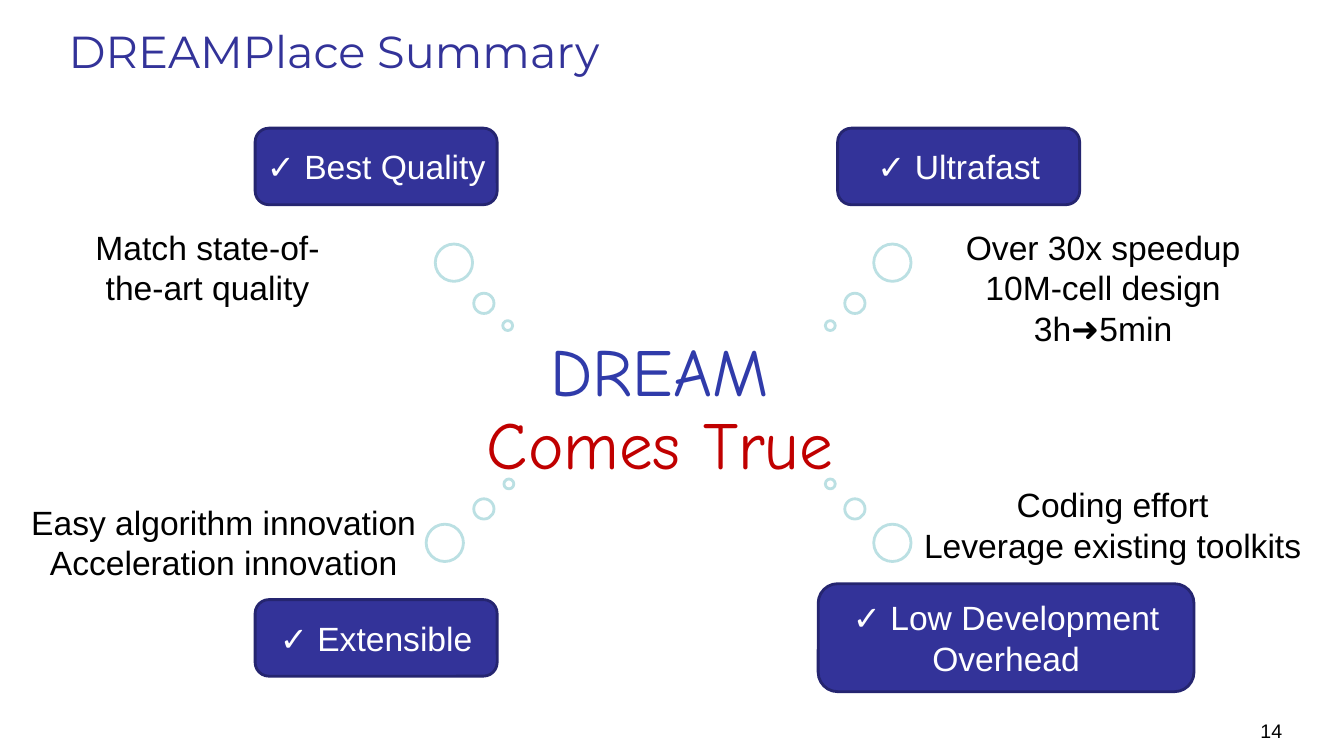
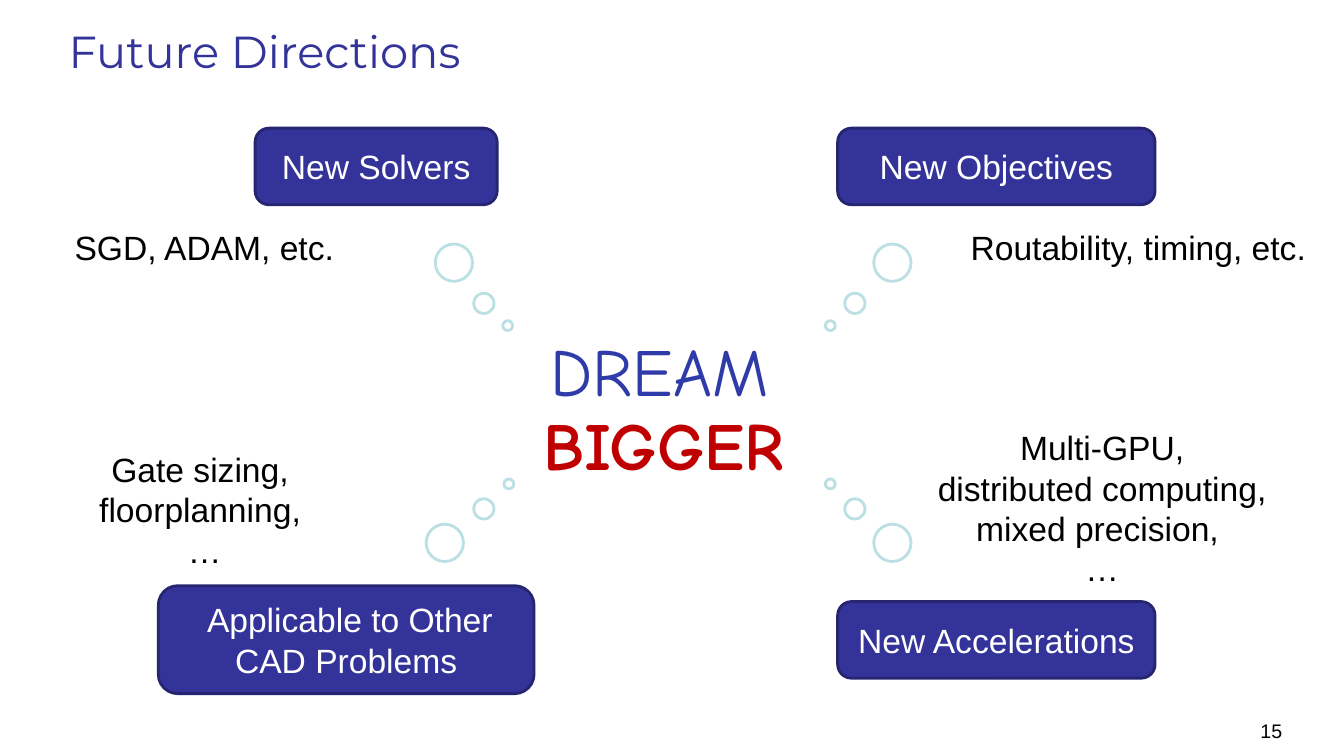
import pptx
import pptx.dml.color
import pptx.enum.shapes
import pptx.enum.text
import pptx.util

Cm = pptx.util.Cm
ALIGN = pptx.enum.text.PP_ALIGN
ANCHOR = pptx.enum.text.MSO_ANCHOR
SHAPE = pptx.enum.shapes.MSO_SHAPE

COLORS = {
    "indigo": "333399",
    "indigo_edge": "252570",
    "bubble_edge": "BBE0E3",
    "dream": "303BAA",
    "red": "C00000",
    "black": "000000",
    "white": "FFFFFF",
}
BODY_FONT = "Arial"
TITLE_FONT = "Montserrat"
COMIC_FONT = "Comic Neue"

INSET = 0.13
CORNER = 0.18
BADGE_HEIGHT = 1.93
TALL_BADGE = (9.47, 2.72)
LINE_HEIGHT = 1.02
NOTE_PADDING = 0.27
UPPER_NOTE_TOP = 5.59

# Each trail runs from its large outer bubble to its small inner one.
BUBBLE_DIAMETERS = (0.94, 0.51, 0.25)
UPPER_TOPS = (6.15, 7.39, 8.08)
LOWER_TOPS = (13.21, 12.57, 12.07)
RIGHT_LEFTS = (22.02, 21.29, 20.8)
BUBBLE_TRAILS = (
    ((10.97, 11.94, 12.67), UPPER_TOPS),
    (RIGHT_LEFTS, UPPER_TOPS),
    (RIGHT_LEFTS, LOWER_TOPS),
    ((10.74, 11.94, 12.7), LOWER_TOPS),
)

SLIDES = (
    {
        "title": "DREAMPlace Summary",
        "number": "14",
        "badges": (
            ("✓ Best Quality", 6.43, 3.23, 6.1, BADGE_HEIGHT),
            ("✓ Ultrafast", 21.11, 3.23, 6.1, BADGE_HEIGHT),
            ("✓ Low Development Overhead", 20.62, 14.71, *TALL_BADGE),
            ("✓ Extensible", 6.43, 15.11, 6.1, BADGE_HEIGHT),
        ),
        "notes": (
            ("Over 30x speedup\n10M-cell design\n3h➜5min", 24.08, UPPER_NOTE_TOP, 7.44, {}),
            ("Easy algorithm innovation\nAcceleration innovation", 0.53, 12.52, 10.21, {}),
            ("Match state-of-the-art quality", 1.75, UPPER_NOTE_TOP, 6.96, {"wrap": True}),
            ("Coding effort\nLeverage existing toolkits", 23.11, 12.07, 9.86, {}),
        ),
        "slogan": ("Comes True", 12.14, 10.01, 9.6, False),
    },
    {
        "title": "Future Directions",
        "number": "15",
        "badges": (
            ("New Solvers", 6.43, 3.23, 6.1, BADGE_HEIGHT),
            ("New Objectives", 21.11, 3.23, 8, BADGE_HEIGHT),
            (" Applicable to Other CAD Problems", 3.99, 14.76, *TALL_BADGE),
            ("New Accelerations", 21.11, 15.16, 8, BADGE_HEIGHT),
        ),
        "notes": (
            ("Routability, timing, etc.", 24.33, UPPER_NOTE_TOP, 8.74, {"align": ALIGN.LEFT}),
            ("Gate sizing, \nfloorplanning, \n…", 2.34, 11.18, 5.64, {}),
            ("SGD, ADAM, etc.", 1.75, UPPER_NOTE_TOP, 6.83, {"align": ALIGN.LEFT}),
            ("Multi-GPU,\ndistributed computing,\nmixed precision, \n…", 23.37, 10.64, 8.81, {}),
        ),
        "slogan": ("BIGGER", 13.56, 10.03, 6.73, True),
    },
)


def rgb(name):
    return pptx.dml.color.RGBColor.from_string(COLORS[name])


def write_text(shape, text, *, size=24, font=BODY_FONT, color="black", bold=False,
               align=ALIGN.CENTER, anchor=ANCHOR.TOP, wrap=True, grow=False):
    """Fill a shape with text, one paragraph for each line."""
    frame = shape.text_frame
    frame.word_wrap = wrap
    frame.vertical_anchor = anchor
    frame.margin_left = frame.margin_right = Cm(INSET)
    frame.margin_top = frame.margin_bottom = Cm(INSET)
    if grow:
        frame.auto_size = pptx.enum.text.MSO_AUTO_SIZE.SHAPE_TO_FIT_TEXT
    frame.text = text
    for paragraph in frame.paragraphs:
        paragraph.alignment = align
        paragraph.font.size = pptx.util.Pt(size)
        paragraph.font.name = font
        paragraph.font.bold = bold
        paragraph.font.color.rgb = rgb(color)


def add_text_box(slide, text, left, top, width, height, **text_format):
    box = slide.shapes.add_textbox(Cm(left), Cm(top), Cm(width), Cm(height))
    write_text(box, text, **text_format)


def add_outlined_shape(slide, kind, left, top, width, height, fill, edge):
    shape = slide.shapes.add_shape(kind, Cm(left), Cm(top), Cm(width), Cm(height))
    shape.shadow.inherit = False
    shape.fill.solid()
    shape.fill.fore_color.rgb = rgb(fill)
    shape.line.color.rgb = rgb(edge)
    shape.line.width = pptx.util.Pt(2)
    return shape


def add_title_and_number(slide, title, number):
    add_text_box(slide, title, 1.6, 0.28, 30.63, 1.98, size=32, font=TITLE_FONT,
                 color="indigo", align=ALIGN.LEFT, anchor=ANCHOR.MIDDLE)
    add_text_box(slide, number, 31.62, 17.98, 0.84, 0.86, size=14, wrap=False, grow=True)


def add_badge(slide, text, left, top, width, height):
    badge = add_outlined_shape(slide, SHAPE.ROUNDED_RECTANGLE, left, top, width, height,
                               "indigo", "indigo_edge")
    badge.adjustments[0] = CORNER
    write_text(badge, text, color="white", anchor=ANCHOR.MIDDLE)


def add_bubble_trails(slide):
    for lefts, tops in BUBBLE_TRAILS:
        for left, top, diameter in zip(lefts, tops, BUBBLE_DIAMETERS):
            add_outlined_shape(slide, SHAPE.OVAL, left, top, diameter, diameter,
                               "white", "bubble_edge")


def add_note(slide, text, left, top, width, text_format):
    height = NOTE_PADDING + LINE_HEIGHT * len(text.splitlines())
    add_text_box(slide, text, left, top, width, height,
                 **{"wrap": False, "grow": True, **text_format})


def add_slogan_line(slide, text, left, top, width, color, bold=False):
    add_text_box(slide, text, left, top, width, 2.31, size=48, font=COMIC_FONT, color=color,
                 bold=bold, align=ALIGN.LEFT, wrap=False, grow=True)


def add_dream_slide(presentation, content):
    slide = presentation.slides.add_slide(presentation.slide_layouts[6])
    add_title_and_number(slide, content["title"], content["number"])
    for badge in content["badges"]:
        add_badge(slide, *badge)
    add_bubble_trails(slide)
    for note in content["notes"]:
        add_note(slide, *note)
    add_slogan_line(slide, "DREAM", 13.74, 8.18, 6.4, "dream")
    text, left, top, width, bold = content["slogan"]
    add_slogan_line(slide, text, left, top, width, "red", bold)


def main():
    presentation = pptx.Presentation()
    presentation.slide_width = Cm(33.87)
    presentation.slide_height = Cm(19.05)
    for content in SLIDES:
        add_dream_slide(presentation, content)
    presentation.save("out.pptx")


if __name__ == "__main__":
    main()
